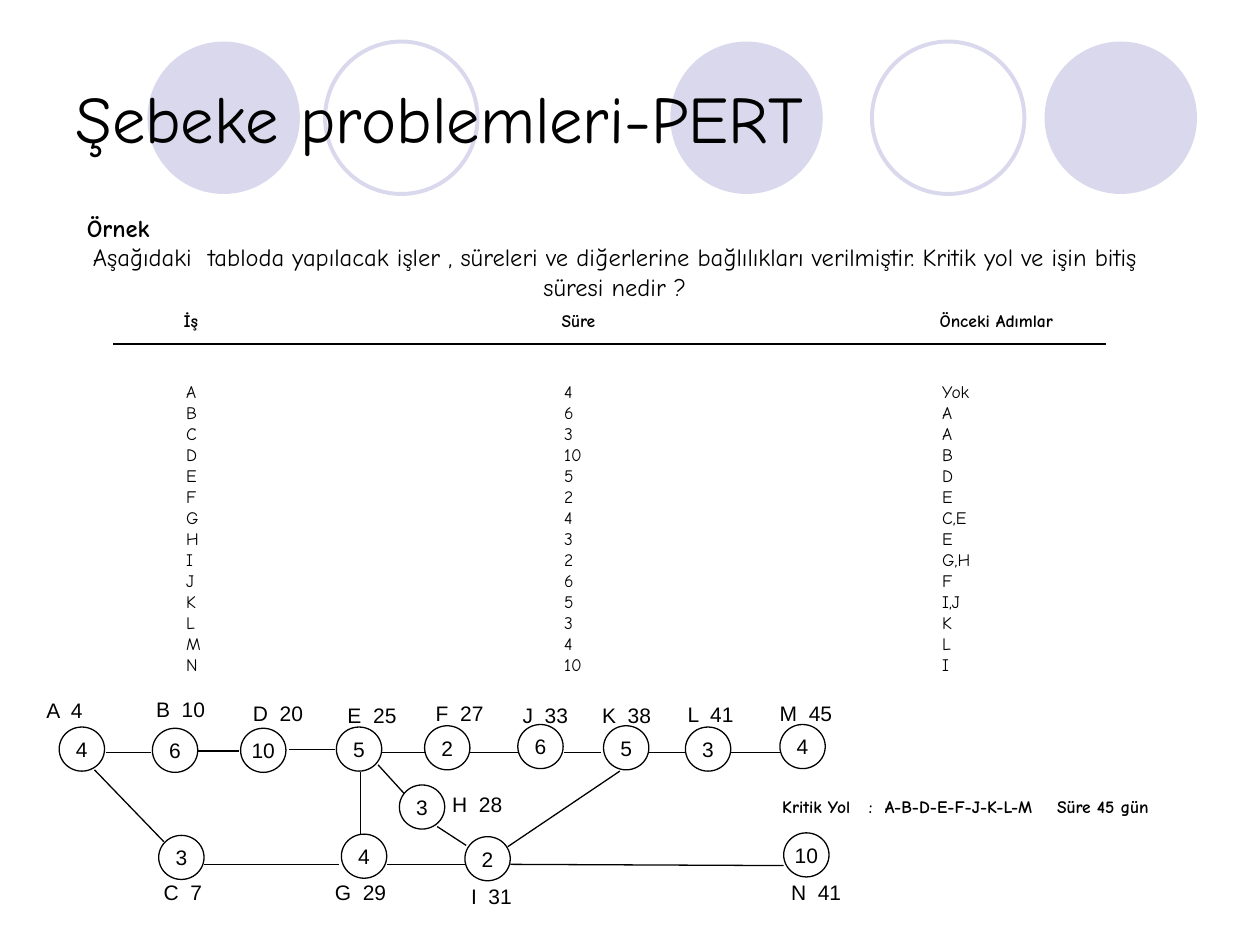
from lxml import etree
from pptx import Presentation
from pptx.dml.color import RGBColor
from pptx.enum import shapes, text
from pptx.oxml import ns
from pptx.util import Inches, Pt

BLACK, WHITE, LILAC = "000000", "FFFFFF", "D9D8EC"
HAND, SANS = "Comic Neue", "Arial"

JOBS = [
    ("A", "4", "Yok"), ("B", "6", "A"), ("C", "3", "A"), ("D", "10", "B"),
    ("E", "5", "D"), ("F", "2", "E"), ("G", "4", "C,E"), ("H", "3", "E"),
    ("I", "2", "G,H"), ("J", "6", "F"), ("K", "5", "I,J"), ("L", "3", "K"),
    ("M", "4", "L"), ("N", "10", "I"),
]

# job: finish time, circle left and top, label left and top
NODES = {
    "A": ("4", 0.47, 0.77, 0.27, 0.49), "B": ("10", 1.21, 0.78, 1.14, 0.48),
    "D": ("20", 1.91, 0.78, 1.91, 0.51), "E": ("25", 2.67, 0.77, 2.66, 0.53),
    "F": ("27", 3.37, 0.76, 3.36, 0.51), "J": ("33", 4.11, 0.75, 4.05, 0.53),
    "K": ("38", 4.79, 0.76, 4.68, 0.53), "L": ("41", 5.44, 0.77, 5.36, 0.52),
    "M": ("45", 6.19, 0.75, 6.09, 0.51), "C": ("7", 1.26, 1.63, 1.2, 1.93),
    "G": ("29", 2.71, 1.62, 2.56, 1.93), "H": ("28", 3.17, 1.23, 3.49, 1.23),
    "I": ("31", 3.69, 1.64, 3.64, 1.96), "N": ("41", 6.22, 1.61, 6.18, 1.93),
}

LINKS = [
    (0.84, 0.97, 1.2, 0.97), (1.57, 0.96, 1.9, 0.96), (2.29, 0.95, 2.66, 0.95),
    (3.03, 0.97, 3.37, 0.97), (3.73, 0.97, 4.12, 0.97), (4.48, 0.97, 4.77, 0.97),
    (5.15, 0.97, 5.44, 0.97), (5.8, 0.97, 6.2, 0.97), (0.75, 1.11, 1.3, 1.68),
    (1.62, 1.86, 2.69, 1.86), (3.07, 1.86, 3.69, 1.86), (4.05, 1.86, 6.22, 1.87),
    (2.86, 1.13, 2.86, 1.63), (4.03, 1.72, 4.92, 1.12), (3, 1.07, 3.21, 1.3),
    (3.47, 1.56, 3.7, 1.71),
]


def rgb(color):
    return RGBColor.from_string(color)


def style(p, size, font, bold=False):
    for r in p.runs:
        r.font.size, r.font.name, r.font.bold = Pt(size), font, bold
        r.font.color.rgb = rgb(BLACK)


def add_text(s, x, y, w, h, words, size, font, bold=False,
             anchor=text.MSO_ANCHOR.MIDDLE):
    sp = s.shapes.add_textbox(Inches(x), Inches(y), Inches(w), Inches(h))
    tf = sp.text_frame
    tf.word_wrap = True
    tf.vertical_anchor = anchor
    tf.text = words
    for p in tf.paragraphs:
        style(p, size, font, bold)
    return tf


def add_line(s, x1, y1, x2, y2):
    ln = s.shapes.add_connector(shapes.MSO_CONNECTOR.STRAIGHT, Inches(x1),
                                Inches(y1), Inches(x2), Inches(y2))
    ln.line.color.rgb = rgb(BLACK)
    ln.line.width = Pt(0.75)
    etree.SubElement(ln._element.spPr, ns.qn("a:effectLst"))


def add_circle(s, x, y, w, h, fill=None, line=None, width=0.75):
    sp = s.shapes.add_shape(shapes.MSO_SHAPE.OVAL, Inches(x), Inches(y),
                            Inches(w), Inches(h))
    sp.shadow.inherit = False
    if fill:
        sp.fill.solid()
        sp.fill.fore_color.rgb = rgb(fill)
    else:
        sp.fill.background()
    if line:
        sp.line.color.rgb = rgb(line)
        sp.line.width = Pt(width)
    else:
        sp.line.fill.background()
    return sp


def set_inch_tabs(tf):
    """Put a left tab stop at every inch."""
    for p in tf.paragraphs:
        tabs = etree.SubElement(p._p.get_or_add_pPr(), ns.qn("a:tabLst"))
        for i in range(1, 8):
            etree.SubElement(tabs, ns.qn("a:tab"), pos=str(Inches(i)), algn="l")


def heading(s, x, y, w, h):
    for dx in (4.82, 7.79, 0.67):
        add_circle(s, x + dx, y + 0.03, 1.21, 1.21, fill=LILAC)
    for dx in (6.42, 2.08):
        add_circle(s, x + dx, y + 0.03, 1.21, 1.21, line=LILAC, width=2.25)
    add_text(s, x, y, w, h, "Şebeke problemleri-PERT", 38, HAND)


def question(s, x, y, w, h):
    tf = add_text(s, x, y, w, h, "Örnek", 14, HAND, True)
    p = tf.add_paragraph()
    p.text = ("Aşağıdaki  tabloda yapılacak işler , süreleri ve diğerlerine "
              "bağlılıkları verilmiştir. Kritik yol ve işin bitiş süresi nedir ?")
    p.alignment = text.PP_ALIGN.CENTER
    style(p, 14, HAND)


def job_list(s, x, y, w, h):
    gap = "\t\t\t"
    head = add_text(s, x, y, w, 0.44, gap.join(("İş", "Süre", "Önceki Adımlar")),
                    10, HAND, True, text.MSO_ANCHOR.TOP)
    add_line(s, x - 0.46, y + 0.32, x + 7.42, y + 0.32)
    rows = add_text(s, x + 0.02, y + 0.44, w, h - 0.44,
                    "\n".join(gap.join(job) for job in JOBS), 10, HAND,
                    anchor=text.MSO_ANCHOR.BOTTOM)
    for tf in (head, rows):
        set_inch_tabs(tf)


def network(s, x, y):
    durations = {job: days for job, days, _ in JOBS}
    for x1, y1, x2, y2 in LINKS:
        add_line(s, x + x1, y + y1, x + x2, y + y2)
    for job, (finish, cx, cy, lx, ly) in NODES.items():
        tf = add_circle(s, x + cx, y + cy, 0.36, 0.35, WHITE, BLACK).text_frame
        tf.margin_left = tf.margin_right = tf.margin_top = tf.margin_bottom = 0
        tf.word_wrap = False
        tf.vertical_anchor = text.MSO_ANCHOR.MIDDLE
        tf.text = durations[job]
        tf.paragraphs[0].alignment = text.PP_ALIGN.CENTER
        style(tf.paragraphs[0], 12, SANS)
        add_text(s, x + lx, y + ly, 0.63, 0.29, f"{job}  {finish}", 12, SANS,
                 anchor=text.MSO_ANCHOR.TOP)
    add_text(s, x + 6.11, y + 1.27, 3.89, 0.27,
             "Kritik Yol   :  A-B-D-E-F-J-K-L-M    Süre 45 gün", 10, HAND, True)


def main():
    prs = Presentation()
    prs.slide_width, prs.slide_height = Inches(10), Inches(7.5)
    s = prs.slides.add_slide(prs.slide_layouts[6])
    heading(s, 0.5, 0.3, 9, 1.25)
    question(s, 0.59, 1.64, 8.58, 0.8)
    job_list(s, 1.36, 2.41, 7.5, 3)
    network(s, 0, 5)
    prs.save("out.pptx")


if __name__ == "__main__":
    main()
